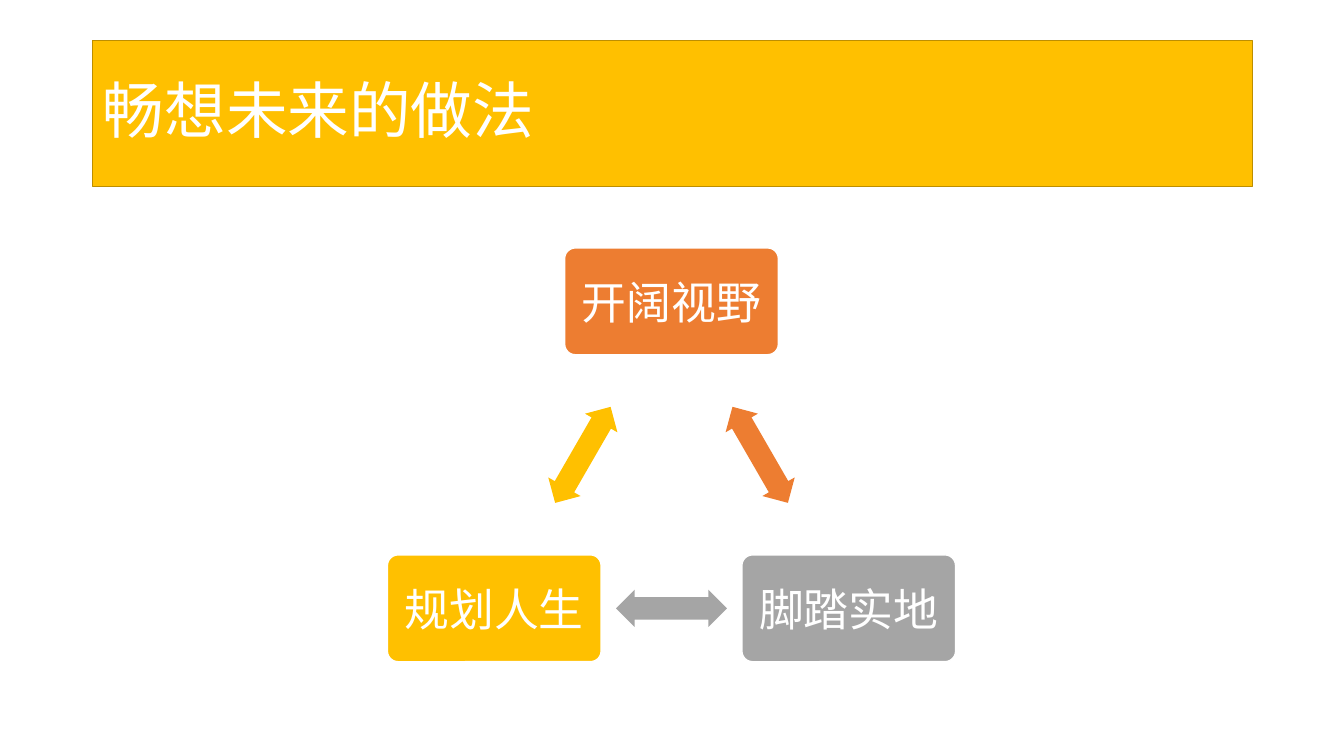
"""Build a slide with a title bar and a three-step cycle."""
from dataclasses import dataclass
from math import cos, radians, sin

from pptx import Presentation
from pptx.dml.color import RGBColor
from pptx.enum.shapes import MSO_SHAPE
from pptx.enum.text import MSO_ANCHOR, PP_ALIGN
from pptx.util import Inches, Pt


@dataclass(frozen=True)
class Theme:
    font: str = "Calibri"
    title_size: int = 44
    step_size: int = 32
    white: str = "FFFFFF"
    gold: str = "FFC000"
    gold_edge: str = "BD8E00"
    orange: str = "ED7D31"
    gray: str = "A5A5A5"


theme = Theme()


def add_centered(preset, angle, radius, width, height, color):
    """Add a filled shape centred on the cycle at a clockwise angle from the top."""
    middle_x = CYCLE_X + radius * sin(radians(angle))
    middle_y = CYCLE_Y - radius * cos(radians(angle))
    shape = page.shapes.add_shape(
        preset, Inches(middle_x - width / 2), Inches(middle_y - height / 2),
        Inches(width), Inches(height))
    shape.shadow.inherit = False
    shape.fill.solid()
    shape.fill.fore_color.rgb = RGBColor.from_string(color)
    return shape


def style_text(para, size, alignment):
    """Format one paragraph in the slide font."""
    para.alignment = alignment
    para.font.name = theme.font
    para.font.size = Pt(size)
    para.font.color.rgb = RGBColor.from_string(theme.white)


deck = Presentation()
deck.slide_width, deck.slide_height = Inches(13.33), Inches(7.5)
page = deck.slides.add_slide(deck.slide_layouts[5])

title = page.shapes.title
title.left, title.top = Inches(0.92), Inches(0.4)
title.width, title.height = Inches(11.5), Inches(1.45)
title.fill.solid()
title.fill.fore_color.rgb = RGBColor.from_string(theme.gold)
title.line.color.rgb = RGBColor.from_string(theme.gold_edge)
title.line.width = Pt(1)
title.text_frame.text = "畅想未来的做法"
title.text_frame.vertical_anchor = MSO_ANCHOR.MIDDLE
title_para = title.text_frame.paragraphs[0]
title_para.line_spacing = 0.9
style_text(title_para, theme.title_size, PP_ALIGN.LEFT)

CYCLE_X, CYCLE_Y, RADIUS = 6.66, 5.02, 2.03
steps = [("开阔视野", theme.orange), ("脚踏实地", theme.gray), ("规划人生", theme.gold)]
turn = 360 / len(steps)

for index, (label, color) in enumerate(steps):
    angle = index * turn
    box = add_centered(MSO_SHAPE.ROUNDED_RECTANGLE, angle, RADIUS, 2.12, 1.06, color)
    box.adjustments[0] = 0.1
    box.line.color.rgb = RGBColor.from_string(theme.white)
    box.line.width = Pt(1)
    frame = box.text_frame
    frame.word_wrap = True
    frame.vertical_anchor = MSO_ANCHOR.MIDDLE
    frame.margin_left = frame.margin_right = Inches(0.1)
    frame.text = label
    style_text(frame.paragraphs[0], theme.step_size, PP_ALIGN.CENTER)

    arrow_angle = angle + turn / 2
    arrow = add_centered(MSO_SHAPE.LEFT_RIGHT_ARROW, arrow_angle,
                         RADIUS * cos(radians(turn / 2)), 1.1, 0.37, color)
    arrow.adjustments[0], arrow.adjustments[1] = 0.6, 0.5
    arrow.line.fill.background()
    arrow.rotation = arrow_angle

deck.save("out.pptx")
